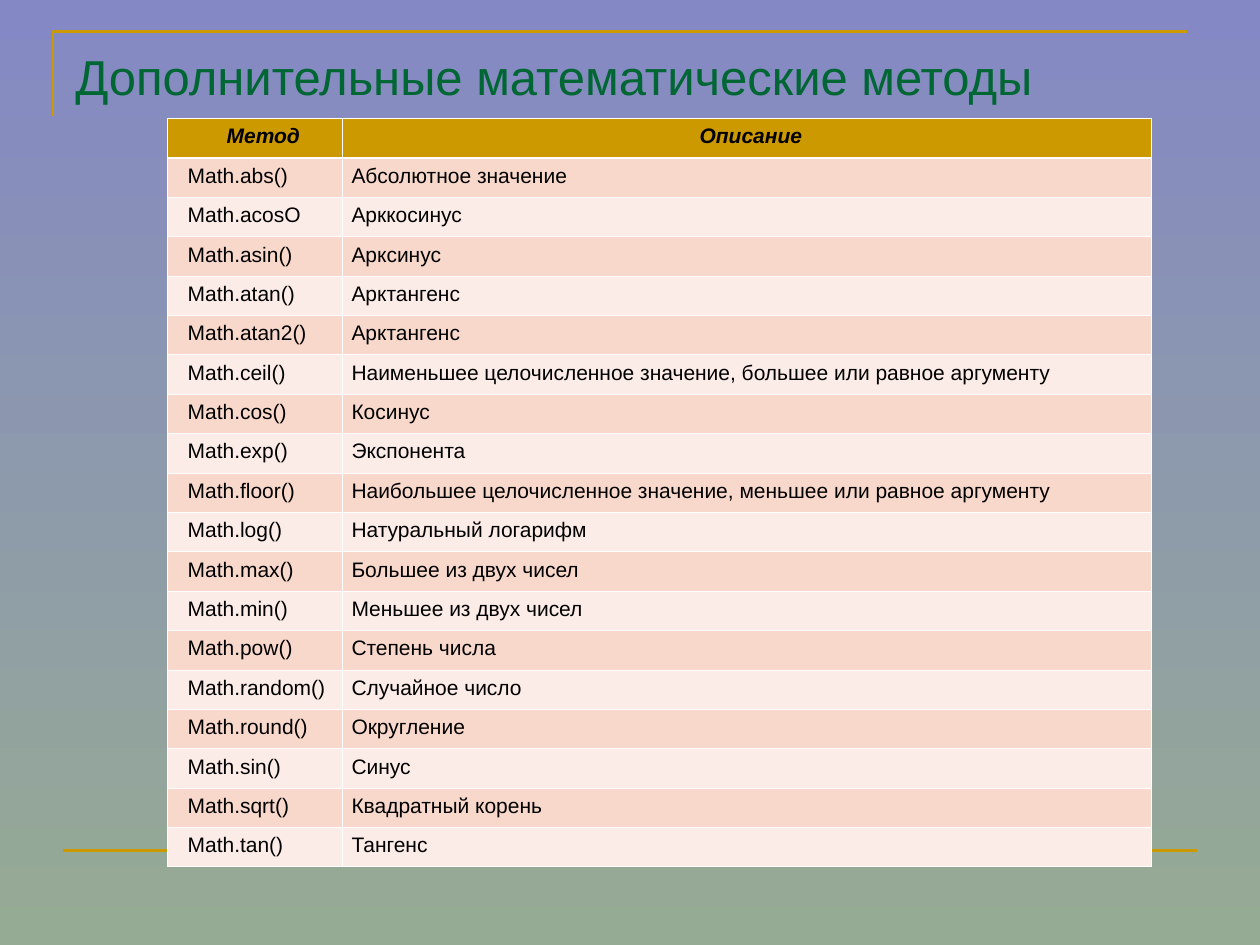
"""Build a slide that lists additional mathematical methods in a table."""
from lxml import etree
from pptx import Presentation
from pptx import util as u
from pptx.dml.color import RGBColor
from pptx.enum import shapes, text
from pptx.oxml import ns

FONT = "Arial"
SKY = RGBColor(0x84, 0x88, 0xC4)
SAGE = RGBColor(0x96, 0xAB, 0x94)
GOLD = RGBColor(0xCC, 0x99, 0x00)
GREEN = RGBColor(0x00, 0x66, 0x33)
BLACK = RGBColor(0x00, 0x00, 0x00)
WHITE = RGBColor(0xFF, 0xFF, 0xFF)
PEACH = RGBColor(0xF9, 0xD8, 0xCC)
PALE = RGBColor(0xFC, 0xEC, 0xE7)

HEADER = ("Метод", "Описание")
METHODS = [
    ("Math.abs()", "Абсолютное значение"),
    ("Math.acosO", "Арккосинус"),
    ("Math.asin()", "Арксинус"),
    ("Math.atan()", "Арктангенс"),
    ("Math.atan2()", "Арктангенс"),
    ("Math.ceil()", "Наименьшее целочисленное значение, большее или равное аргументу"),
    ("Math.cos()", "Косинус"),
    ("Math.exp()", "Экспонента"),
    ("Math.floor()", "Наибольшее целочисленное значение, меньшее или равное аргументу"),
    ("Math.log()", "Натуральный логарифм"),
    ("Math.max()", "Большее из двух чисел"),
    ("Math.min()", "Меньшее из двух чисел"),
    ("Math.pow()", "Степень числа"),
    ("Math.random()", "Случайное число"),
    ("Math.round()", "Округление"),
    ("Math.sin()", "Синус"),
    ("Math.sqrt()", "Квадратный корень"),
    ("Math.tan()", "Тангенс"),
]
COLUMN_WIDTHS = (1.39, 6.42)
HEADER_INDENTS = (0.13, 0.06)
BODY_INDENTS = (0.13, 0.04)
THIN, THICK = 0.45, 1.47


def paint_background(slide):
    fill = slide.background.fill
    fill.gradient()
    fill.gradient_angle = 270
    for stop, color, position in zip(fill.gradient_stops, (SKY, SAGE), (0, 1)):
        stop.color.rgb = color
        stop.position = position


def style_line(shape):
    shape.line.color.rgb = GOLD
    shape.line.width = u.Pt(1.5)


def add_corner(slide):
    left, top = u.Inches(0.42), u.Inches(0.25)
    builder = slide.shapes.build_freeform(left, u.Inches(0.92))
    builder.add_line_segments([(left, top), (u.Inches(9.42), top)], close=False)
    corner = builder.convert_to_shape()
    corner.fill.background()
    corner.shadow.inherit = False
    style_line(corner)


def add_rule(slide):
    height = u.Inches(6.75)
    rule = slide.shapes.add_connector(
        shapes.MSO_CONNECTOR.STRAIGHT, u.Inches(0.5), height, u.Inches(9.5), height)
    style_line(rule)
    etree.SubElement(rule._element.spPr, ns.qn("a:effectLst"))


def add_run(paragraph, content, size, color, emphasis=False):
    run = paragraph.add_run()
    run.text = content
    run.font.name = FONT
    run.font.size = u.Pt(size)
    run.font.color.rgb = color
    run.font.bold = run.font.italic = emphasis


def add_title(slide, content):
    box = slide.shapes.add_textbox(
        u.Inches(0.5), u.Inches(0.3), u.Inches(9), u.Inches(0.61))
    frame = box.text_frame
    frame.word_wrap = True
    frame.vertical_anchor = text.MSO_ANCHOR.MIDDLE
    add_run(frame.paragraphs[0], content, 28, GREEN)


def set_borders(cell, top, bottom):
    properties = cell._tc.get_or_add_tcPr()
    for side, width in (("L", THIN), ("R", THIN), ("T", top), ("B", bottom)):
        line = etree.SubElement(properties, ns.qn(f"a:ln{side}"), w=str(u.Pt(width)))
        fill = etree.SubElement(line, ns.qn("a:solidFill"))
        etree.SubElement(fill, ns.qn("a:srgbClr"), val=str(WHITE))


def fill_cell(cell, content, row, indent):
    header = row == 0
    set_borders(cell, THICK if row == 1 else THIN, THICK if header else THIN)
    cell.fill.solid()
    cell.fill.fore_color.rgb = GOLD if header else PEACH if row % 2 else PALE
    cell.margin_left = cell.margin_right = u.Inches(0.03)
    cell.margin_top = cell.margin_bottom = u.Inches(0.05)
    cell.vertical_anchor = text.MSO_ANCHOR.TOP
    paragraph = cell.text_frame.paragraphs[0]
    paragraph.alignment = text.PP_ALIGN.CENTER if header else text.PP_ALIGN.LEFT
    paragraph._p.get_or_add_pPr().set("marL", str(u.Inches(indent)))
    add_run(paragraph, content, 12, BLACK, emphasis=header)


def add_methods_table(slide):
    rows = [HEADER, *METHODS]
    table = slide.shapes.add_table(
        len(rows), len(HEADER), u.Inches(1.33), u.Inches(0.94),
        u.Inches(sum(COLUMN_WIDTHS)), u.Inches(5.94)).table
    table.first_row = table.horz_banding = False
    for column, width in zip(table.columns, COLUMN_WIDTHS):
        column.width = u.Inches(width)
    for row, contents in enumerate(rows):
        indents = BODY_INDENTS if row else HEADER_INDENTS
        for column, (content, indent) in enumerate(zip(contents, indents)):
            fill_cell(table.cell(row, column), content, row, indent)


def main():
    presentation = Presentation()
    presentation.slide_width = u.Inches(10)
    presentation.slide_height = u.Inches(7.5)
    slide = presentation.slides.add_slide(presentation.slide_layouts[6])
    paint_background(slide)
    add_corner(slide)
    add_rule(slide)
    add_title(slide, "Дополнительные математические методы")
    add_methods_table(slide)
    presentation.save("out.pptx")


if __name__ == "__main__":
    main()
